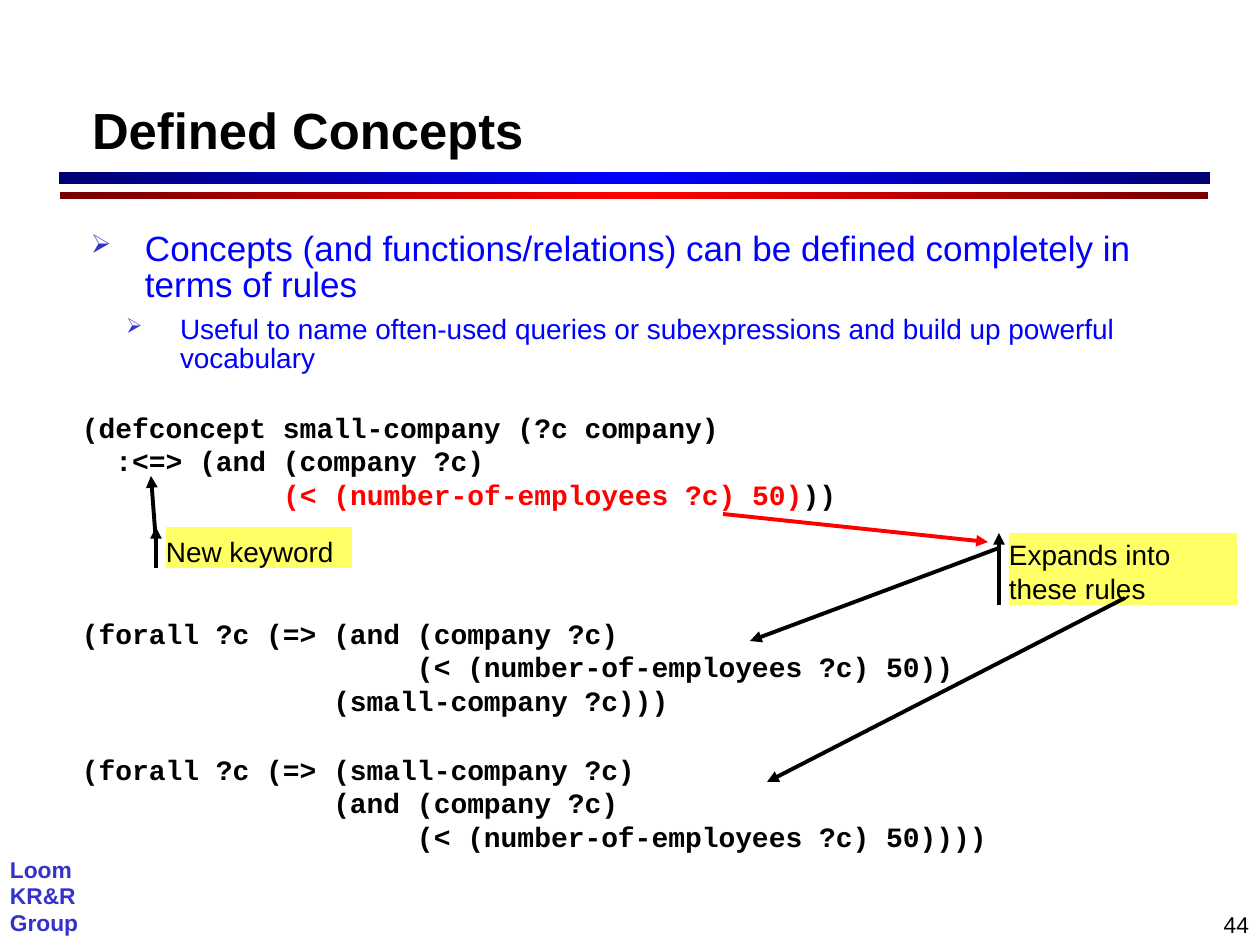
from copy import deepcopy
from lxml import etree
from pptx import Presentation
from pptx import util as u
from pptx.dml.color import RGBColor
from pptx.enum import shapes, text
from pptx.oxml.ns import qn

BLACK = RGBColor(0, 0, 0)
RED = RGBColor(255, 0, 0)
BLUE = RGBColor(0, 0, 255)
NAVY = RGBColor(0, 0, 117)
MAROON = RGBColor(117, 0, 0)
INDIGO = RGBColor(0x33, 0x33, 0xCC)
YELLOW = RGBColor(255, 255, 0x66)
SCALE = u.Inches(1) / 126


def px(*vals):
    return [round(v * SCALE) for v in vals]


def write(box, words, size=16, font="Arial", color=BLACK, bold=False,
          align=text.PP_ALIGN.LEFT, anchor=text.MSO_ANCHOR.TOP,
          inset=(0, 0), space=1.0, after=0, level=0, hang=None, more=False):
    frame = box.text_frame
    frame.word_wrap = True
    frame.auto_size = text.MSO_AUTO_SIZE.NONE
    frame.vertical_anchor = anchor
    frame.margin_left = frame.margin_right = px(inset[0])[0]
    frame.margin_top = frame.margin_bottom = px(inset[1])[0]
    para = frame.add_paragraph() if more else frame.paragraphs[0]
    para.alignment = align
    para.line_spacing = space
    para.space_before = u.Pt(0)
    para.space_after = u.Pt(after)
    para.level = level
    if hang:
        props = para._p.get_or_add_pPr()
        left, first = px(hang, -54)
        props.set("marL", str(left))
        props.set("indent", str(first))
        tint = etree.SubElement(props, qn("a:buClr"))
        etree.SubElement(tint, qn("a:srgbClr"), val=str(INDIGO))
        etree.SubElement(props, qn("a:buSzPct"), val="75000")
        etree.SubElement(props, qn("a:buChar"), char="➢")
    parts = [(words, color)] if isinstance(words, str) else words
    for part, tone in parts:
        for i, line in enumerate(part.split("\n")):
            if i:
                para.add_line_break()
            run = para.add_run()
            run.text = line
            run.font.size = u.Pt(size)
            run.font.name = font
            run.font.bold = bold
            run.font.color.rgb = tone


deck = Presentation()
deck.slide_width, deck.slide_height = px(1260, 945)
slide = deck.slides.add_slide(deck.slide_layouts[5])
items = slide.shapes

bars = [
    ((60, 192, 1148, 7), MAROON, RED),
    ((59, 172, 1151, 12), NAVY, BLUE),
]
for spot, edge, mid in bars:
    bar = items.add_shape(shapes.MSO_SHAPE.ROUNDED_RECTANGLE, *px(*spot))
    bar.adjustments[0] = 0.02
    bar.shadow.inherit = False
    bar.line.fill.background()
    bar.fill.gradient()
    bar.fill.gradient_angle = 0
    stops = bar.fill.gradient_stops
    stops[0].color.rgb = edge
    stops[0].position = 0
    stops[1].color.rgb = mid
    stops[1].position = 0.5
    first = stops[0]._gs
    last = deepcopy(first)
    last.set("pos", "100000")
    first.getparent().append(last)

title = items.title
title.left, title.top, title.width, title.height = px(92, 18, 1076, 143)
write(title, "Defined Concepts", size=29, bold=True, space=0.97,
      anchor=text.MSO_ANCHOR.BOTTOM)

group = items.add_textbox(*px(-1, 852, 100, 90))
write(group, "Loom\nKR&R\nGroup", size=13, color=INDIGO, bold=True,
      inset=(11, 5), space=0.97)
number = items.add_textbox(*px(1022, 905, 238, 39))
write(number, "44", size=13, align=text.PP_ALIGN.RIGHT, inset=(11, 6))

body = items.add_textbox(*px(82, 232, 1076, 161))
write(body, "Concepts (and functions/relations) can be defined completely in "
      "terms of rules", size=20, color=BLUE, space=0.87, after=6.4, hang=63)
write(body, "Useful to name often-used queries or subexpressions and build up "
      "powerful vocabulary", color=BLUE, space=0.87, after=5.1, level=1,
      hang=98, more=True)

codes = [
    (410, [
        ("(defconcept small-company (?c company)\n"
         "  :<=> (and (company ?c)\n"
         "            ", BLACK),
        ("(< (number-of-employees ?c) 50)", RED),
        ("))", BLACK),
    ]),
    (616, "(forall ?c (=> (and (company ?c)\n"
          "                    (< (number-of-employees ?c) 50))\n"
          "               (small-company ?c)))"),
    (752, "(forall ?c (=> (small-company ?c)\n"
          "               (and (company ?c)\n"
          "                    (< (number-of-employees ?c) 50))))"),
]
for top, code in codes:
    box = items.add_textbox(*px(82, top, 1066, 101))
    write(box, code, font="Courier New", bold=True,
          anchor=text.MSO_ANCHOR.BOTTOM)

notes = [
    ((166, 527, 186, 41), "New keyword"),
    ((1009, 533, 228, 72), "Expands into these rules"),
]
for spot, words in notes:
    note = items.add_shape(shapes.MSO_SHAPE.RECTANGLE, *px(*spot))
    note.shadow.inherit = False
    note.fill.solid()
    note.fill.fore_color.rgb = YELLOW
    note.line.fill.background()
    write(note, words, anchor=text.MSO_ANCHOR.BOTTOM)

arrows = [
    ((156, 542, 151, 476), BLACK),
    ((156, 568, 156, 527), BLACK),
    ((999, 548, 750, 641), BLACK),
    ((999, 605, 999, 533), BLACK),
    ((723, 514, 988, 542), RED),
    ((1125, 598, 767, 782), BLACK),
]
for ends, color in arrows:
    arrow = items.add_connector(shapes.MSO_CONNECTOR.STRAIGHT, *px(*ends))
    arrow.line.color.rgb = color
    arrow.line.width = u.Pt(2.25)
    line = arrow.line._get_or_add_ln()
    etree.SubElement(line, qn("a:tailEnd"), type="triangle")
    etree.SubElement(arrow._element.spPr, qn("a:effectLst"))

deck.save("out.pptx")
